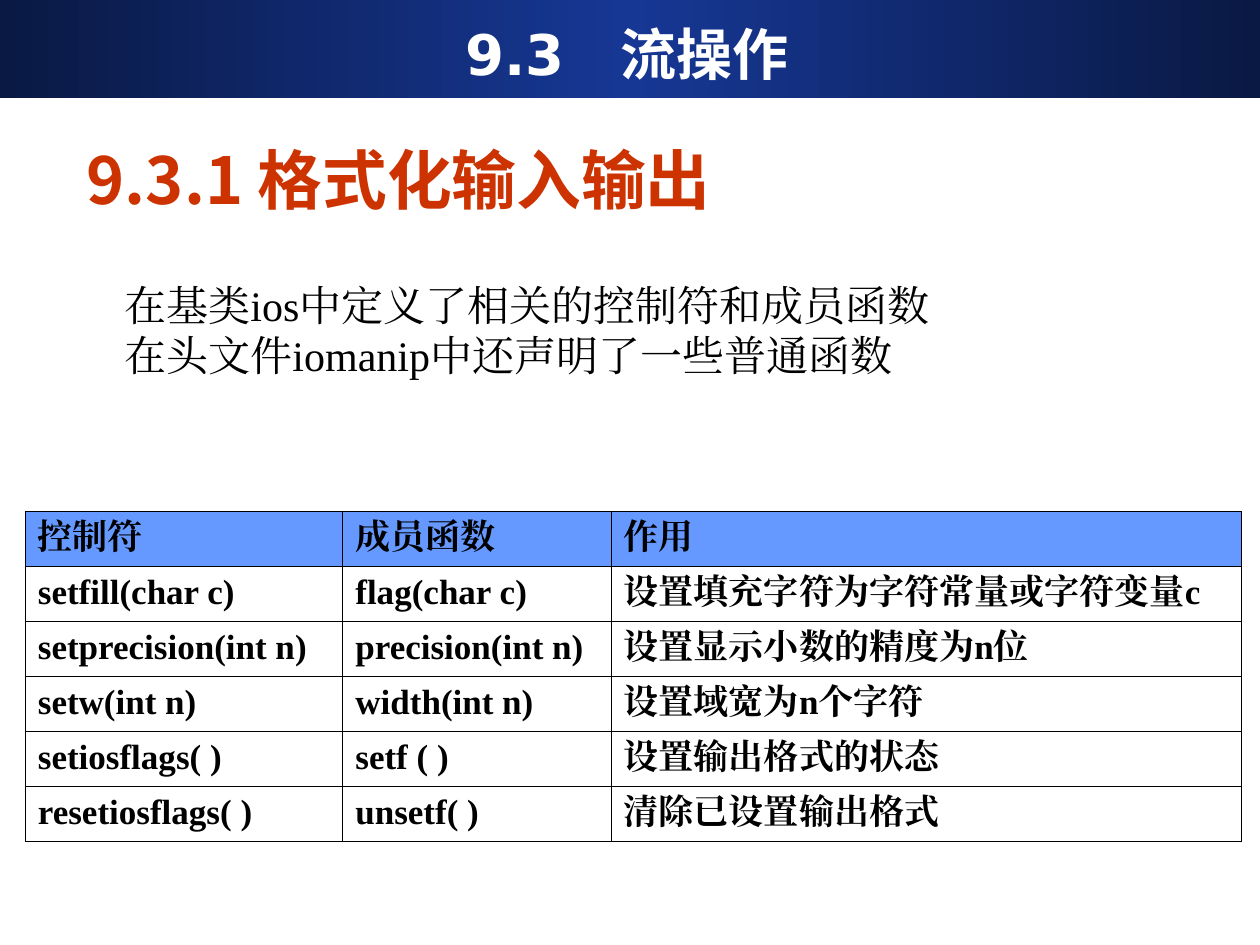
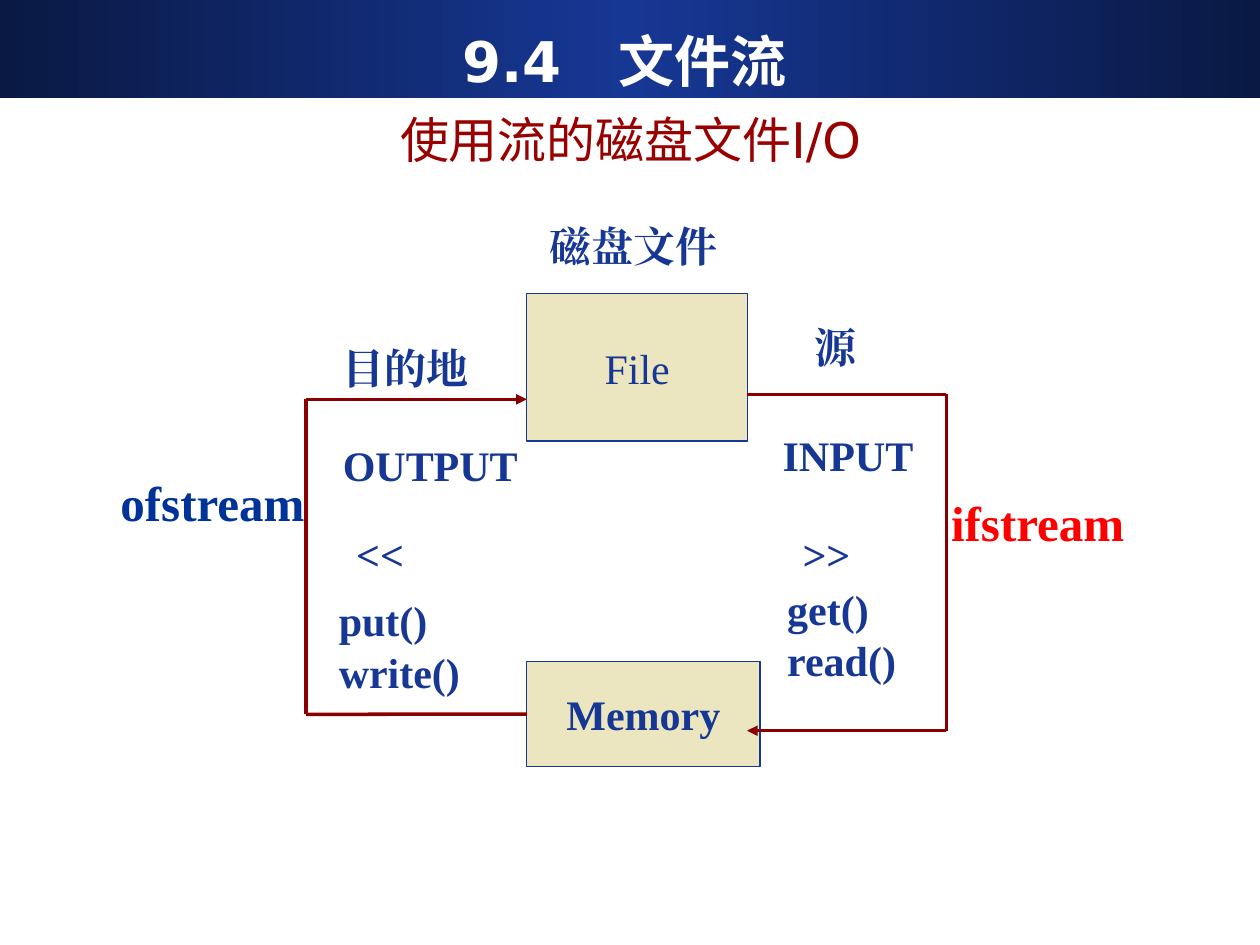
"""Build two lecture slides on C++ formatted output and file streams."""
from copy import deepcopy

from pptx import Presentation
from pptx import util as u
from pptx.dml import color
from pptx.enum import shapes, text
from pptx.oxml import ns, xmlchemy

SERIF, SANS, HEAVY = "Times New Roman", "DejaVu Sans", "Noto Sans CJK SC"
NAVY, DARK_NAVY, WHITE, BLACK = "163794", "0A1944", "FFFFFF", "000000"
ORANGE, CRIMSON, MAROON, RED = "CC3300", "990000", "8A0000", "FF0000"
ROYAL, SAND, HEADER_BLUE = "003399", "ECE6C0", "6699FF"
LEFT, CENTER, RIGHT = (text.PP_ALIGN.LEFT, text.PP_ALIGN.CENTER,
                       text.PP_ALIGN.RIGHT)
TOP, MIDDLE, BOTTOM = (text.MSO_ANCHOR.TOP, text.MSO_ANCHOR.MIDDLE,
                       text.MSO_ANCHOR.BOTTOM)

MANIPULATORS = [
    ("控制符", "成员函数", "作用"),
    ("setfill(char c)", "flag(char c)", "设置填充字符为字符常量或字符变量c"),
    ("setprecision(int n)", "precision(int n)", "设置显示小数的精度为n位"),
    ("setw(int n)", "width(int n)", "设置域宽为n个字符"),
    ("setiosflags( )", "setf ( )", "设置输出格式的状态"),
    ("resetiosflags( )", "unsetf( )", "清除已设置输出格式"),
]


def rgb(value):
    """Turn a hex string into a colour."""
    return color.RGBColor.from_string(value)


def cm(*values):
    """Turn centimetre numbers into lengths."""
    return [u.Cm(v) for v in values]


def sub(parent, tag, **attrs):
    """Append an XML element with the given attributes."""
    el = xmlchemy.OxmlElement(tag)
    for name, value in attrs.items():
        el.set(name, value)
    parent.append(el)
    return el


def write(tf, lines, size=24, font=SERIF, ink=NAVY, bold=True, align=LEFT,
          spacing=None):
    """Fill a text frame with one paragraph per line in a single style."""
    for i, line in enumerate(lines.split("\n")):
        p = tf.paragraphs[0] if i == 0 else tf.add_paragraph()
        p.text = line
        p.alignment = align
        if spacing:
            p.line_spacing = spacing
        p.font.size = u.Pt(size)
        p.font.bold = bold
        p.font.color.rgb = rgb(ink)
        p.font.name = font
        sub(p._p.pPr.find(ns.qn("a:defRPr")), "a:ea", typeface=font)


def add_text(s, box, lines, anchor=TOP, wrap=True, **style):
    """Add a text box."""
    tf = s.shapes.add_textbox(*cm(*box)).text_frame
    tf.word_wrap = wrap
    tf.vertical_anchor = anchor
    write(tf, lines, **style)


def add_band(s):
    """Add the gradient band along the top edge."""
    sp = s.shapes.add_shape(shapes.MSO_SHAPE.RECTANGLE, *cm(0, 0, 25.4, 1.98))
    sp.shadow.inherit = False
    sp.line.fill.background()
    sp.fill.gradient()
    sp.fill.gradient_angle = 0
    first, last = sp.fill.gradient_stops
    first.color.rgb = last.color.rgb = rgb(DARK_NAVY)
    first.position, last.position = 0, 1
    stops = sp._element.spPr.find(ns.qn("a:gradFill")).gsLst
    stops.insert(1, deepcopy(stops[0]))
    middle = sp.fill.gradient_stops[1]
    middle.position = 0.5
    middle.color.rgb = rgb(NAVY)


def add_titled_slide(prs, title, left, top):
    """Add a blank slide with the band and its white title."""
    s = prs.slides.add_slide(prs.slide_layouts[6])
    add_band(s)
    add_text(s, (left, top, 23.5, 1.57), title, MIDDLE, size=32, font=SANS,
             ink=WHITE, align=CENTER)
    return s


def add_process(s, box, label, bold):
    """Add a sand-coloured process box."""
    sp = s.shapes.add_shape(shapes.MSO_SHAPE.FLOWCHART_PROCESS, *cm(*box))
    sp.shadow.inherit = False
    sp.fill.solid()
    sp.fill.fore_color.rgb = rgb(SAND)
    sp.line.color.rgb = rgb(NAVY)
    sp.line.width = u.Pt(0.75)
    sp.text_frame.word_wrap = False
    sp.text_frame.vertical_anchor = MIDDLE
    write(sp.text_frame, label, bold=bold, align=CENTER)
    return sp


def add_route(s, points):
    """Join points with straight lines, the last one ending in an arrow."""
    lines = []
    for start, end in zip(points, points[1:]):
        cx = s.shapes.add_connector(shapes.MSO_CONNECTOR.STRAIGHT,
                                    *cm(*start, *end))
        cx.line.color.rgb = rgb(MAROON)
        cx.line.width = u.Pt(2)
        sub(cx._element.spPr, "a:effectLst")
        lines.append(cx)
    sub(lines[-1].line._get_or_add_ln(), "a:tailEnd", type="triangle")
    return lines


def add_borders(cell):
    """Draw a thin black border on every side of a cell."""
    tcPr = cell._tc.get_or_add_tcPr()
    for i, side in enumerate(("a:lnL", "a:lnR", "a:lnT", "a:lnB")):
        ln = sub(tcPr, side, w=str(u.Pt(0.45)))
        sub(sub(ln, "a:solidFill"), "a:srgbClr", val=BLACK)
        tcPr.insert(i, ln)


def add_grid(s, left, top, widths, row_height, rows):
    """Add a bordered table with a blue header row."""
    frame = s.shapes.add_table(len(rows), len(widths), *cm(
        left, top, sum(widths), row_height * len(rows)))
    table = frame.table
    table.first_row = table.horz_banding = False
    for column, width in zip(table.columns, widths):
        column.width = u.Cm(width)
    for i, row in enumerate(rows):
        table.rows[i].height = u.Cm(row_height)
        for j, value in enumerate(row):
            cell = table.cell(i, j)
            write(cell.text_frame, value, size=20, ink=BLACK)
            if i == 0:
                cell.fill.solid()
                cell.fill.fore_color.rgb = rgb(HEADER_BLUE)
            else:
                cell.fill.background()
            add_borders(cell)


def build_formatting(prs):
    """Build the slide on formatted input and output."""
    s = add_titled_slide(prs, "9.3　流操作", 0.89, 0.28)
    add_text(s, (1.5, 1.12, 22.22, 3.38), "9.3.1 格式化输入输出", BOTTOM,
             size=37, font=HEAVY, ink=ORANGE)
    add_text(s, (2.26, 5.51, 17.15, 2.3),
             "在基类ios中定义了相关的控制符和成员函数\n"
             "在头文件iomanip中还声明了一些普通函数",
             wrap=False, ink=BLACK, bold=False)
    add_grid(s, 0.51, 10.31, (6.4, 5.41, 12.7), 1.11, MANIPULATORS)


def build_file_streams(prs):
    """Build the slide on file streams."""
    s = add_titled_slide(prs, "9.4　文件流", 0.84, 0.43)
    add_text(s, (1.6, 0.13, 22.22, 3.38), "使用流的磁盘文件I/O", BOTTOM,
             size=28, font=SANS, ink=CRIMSON, bold=False, align=CENTER)

    add_process(s, (10.62, 5.92, 4.45, 2.97), "File", False)
    memory = add_process(s, (10.62, 13.34, 4.7, 2.11), "Memory", True)
    output = add_route(s, [(10.62, 14.4), (6.17, 14.4), (6.17, 8.05),
                           (10.62, 8.05)])
    output[0].begin_connect(memory, 1)
    add_route(s, [(15.06, 7.95), (19.08, 7.95), (19.08, 14.73),
                  (15.06, 14.73)])

    for label, left, top, width in (
            ("磁盘文件", 10.77, 4.32, 4.01), ("目的地", 6.17, 6.78, 4.01),
            ("源", 14.83, 6.35, 4.01), ("INPUT", 15.09, 8.53, 4.01),
            ("OUTPUT", 6.3, 8.74, 4.75)):
        add_text(s, (left, top, width, 1.27), label, align=CENTER)
    for label, left, top in (
            ("<<", 6.93, 10.52), ("put()", 6.58, 11.86),
            ("write()", 6.58, 12.9), (">>", 15.93, 10.52),
            ("get()", 15.62, 11.63), ("read()", 15.62, 12.67)):
        add_text(s, (left, top, 5.3, 1.27), label)

    add_text(s, (2.18, 9.73, 10.69, 1.09), "ofstream", size=28, ink=ROYAL,
             spacing=0.7)
    add_text(s, (16.1, 10.13, 6.81, 1.09), "ifstream", size=28, ink=RED,
             align=RIGHT, spacing=0.7)


def main():
    """Build and save the presentation."""
    prs = Presentation()
    prs.slide_width, prs.slide_height = cm(25.4, 19.05)
    build_formatting(prs)
    build_file_streams(prs)
    prs.save("out.pptx")


if __name__ == "__main__":
    main()
